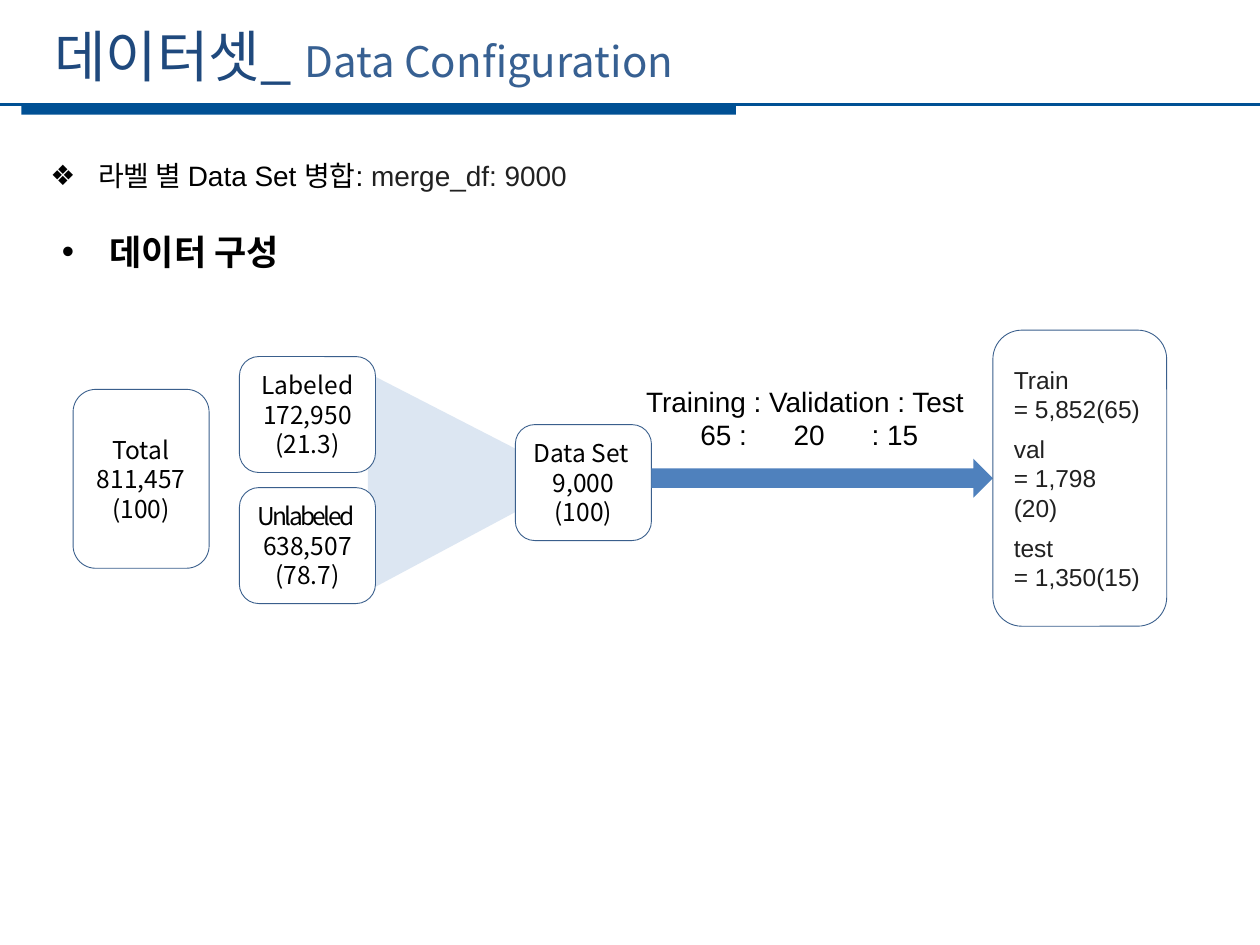
from lxml.etree import SubElement
from pptx import Presentation
from pptx.dml.color import RGBColor
from pptx.enum.shapes import MSO_CONNECTOR, MSO_SHAPE
from pptx.enum.text import MSO_ANCHOR, MSO_AUTO_SIZE, PP_ALIGN
from pptx.oxml.ns import qn
from pptx.util import Inches, Pt

COLORS = {
    "navy": "1F497D", "title blue": "376092", "bar": "005094",
    "funnel": "DCE6F2", "arrow": "4F81BD", "outline": "3A5F8C",
    "white": "FFFFFF", "black": "000000", "gray": "212121",
}
KOREAN = "Noto Sans CJK KR"


def add_span(para, text, size, color, font=KOREAN, bold=False):
    span = para.add_run()
    span.text = text
    span.font.size = Pt(size)
    span.font.bold = bold
    span.font.name = font
    span.font.color.rgb = RGBColor.from_string(COLORS[color])
    SubElement(span.font._element, qn("a:ea"), typeface=KOREAN)
    return span


def add_block(kind, left, top, width, height, fill, outline=None):
    block = slide.shapes.add_shape(
        kind, Inches(left), Inches(top), Inches(width), Inches(height))
    block.shadow.inherit = False
    block.fill.solid()
    block.fill.fore_color.rgb = RGBColor.from_string(COLORS[fill])
    if outline:
        block.line.color.rgb = RGBColor.from_string(COLORS[outline])
        block.line.width = Pt(0.5)
    else:
        block.line.fill.background()
    return block


deck = Presentation()
deck.slide_width, deck.slide_height = Inches(10), Inches(7.5)
slide = deck.slides.add_slide(deck.slide_layouts.get_by_name("Two Content"))
title, merge_item, heading_item = slide.placeholders

# Title and bulleted lines
for box, left, top, width, height in [
    (title, 0.33, 0.12, 8.96, 0.64),
    (merge_item, 0.3, 1.21, 5.94, 0.37),
    (heading_item, 0.39, 1.79, 6.24, 0.42),
]:
    box.left, box.top = Inches(left), Inches(top)
    box.width, box.height = Inches(width), Inches(height)
    box.text_frame.auto_size = MSO_AUTO_SIZE.NONE
    box.text_frame.vertical_anchor = MSO_ANCHOR.TOP
    para = box.text_frame.paragraphs[0]
    para.alignment = PP_ALIGN.LEFT
    para.space_before = Pt(0)

title_para = title.text_frame.paragraphs[0]
add_span(title_para, "데이터셋_ ", 32, "navy")
add_span(title_para, "Data Configuration", 24, "title blue")

merge_para = merge_item.text_frame.paragraphs[0]
add_span(merge_para, "라벨 별 Data Set 병합: ", 16, "black", "Arial")
add_span(merge_para, "merge_df: 9000", 16, "gray", "Arial")

heading_para = heading_item.text_frame.paragraphs[0]
heading_para.line_spacing = Pt(23)
add_span(heading_para, "데이터 구성", 20, "black", "Arial", bold=True)

for para, bullet in [(merge_para, "❖"), (heading_para, "•")]:
    properties = para._p.get_or_add_pPr()
    properties.set("marL", str(Inches(0.38)))
    properties.set("indent", str(Inches(-0.38)))
    SubElement(properties, qn("a:buChar"), char=bullet)

# Rule below the title
add_block(MSO_SHAPE.RECTANGLE, 0.17, 0.83, 5.67, 0.08, "bar")
rule = slide.shapes.add_connector(
    MSO_CONNECTOR.STRAIGHT, Inches(0), Inches(0.83), Inches(10), Inches(0.83))
rule.line.color.rgb = RGBColor.from_string(COLORS["bar"])
rule.line.width = Pt(1.25)
SubElement(rule._element.spPr, qn("a:effectLst"))

# Funnel from the labelled and unlabelled data to the data set
funnel = add_block(MSO_SHAPE.ISOSCELES_TRIANGLE, 2.88, 3, 1.73, 1.65, "funnel")
funnel.rotation = 90
funnel.adjustments[0] = 0.49

# Count boxes
for left, top, height, lines, first_align, spacing in [
    (0.58, 3.09, 1.42, ("Total", "811,457", "(100)"), PP_ALIGN.CENTER, 0),
    (1.9, 2.83, 0.92, ("Labeled", "172,950", "(21.3)"), PP_ALIGN.CENTER, 0),
    (1.9, 3.87, 0.92, ("Unlabeled", "638,507", "(78.7)"), PP_ALIGN.JUSTIFY, -150),
    (4.09, 3.37, 0.92, ("Data Set", "9,000", "(100)"), PP_ALIGN.JUSTIFY, 0),
]:
    box = add_block(MSO_SHAPE.ROUNDED_RECTANGLE, left, top, 1.08, height,
                    "white", "outline")
    frame = box.text_frame
    frame.vertical_anchor = MSO_ANCHOR.MIDDLE
    for index, line in enumerate(lines):
        para = frame.add_paragraph() if index else frame.paragraphs[0]
        para.alignment = PP_ALIGN.CENTER if index else first_align
        span = add_span(para, line, 14, "black")
        if spacing and index == 0:
            span.font._element.set("spc", str(spacing))

# Split ratio above the arrow
ratio_box = slide.shapes.add_textbox(
    Inches(5.03), Inches(3), Inches(2.81), Inches(0.64))
ratio_frame = ratio_box.text_frame
ratio_frame.word_wrap = False
add_span(ratio_frame.paragraphs[0], "Training : Validation : Test", 16,
         "black", "Arial")
ratio_para = ratio_frame.add_paragraph()
add_span(ratio_para, "\t65 :\t20\t: 15", 16, "black", "Arial")
tab_list = SubElement(ratio_para._p.get_or_add_pPr(), qn("a:tabLst"))
for position in (0.43, 1.17, 1.79):
    SubElement(tab_list, qn("a:tab"), pos=str(Inches(position)), algn="l")

add_block(MSO_SHAPE.RIGHT_ARROW, 5.17, 3.64, 2.71, 0.31, "arrow")

# Resulting split
split_box = add_block(MSO_SHAPE.ROUNDED_RECTANGLE, 7.88, 2.62, 1.38, 2.35,
                      "white", "outline")
split_frame = split_box.text_frame
split_frame.vertical_anchor = MSO_ANCHOR.MIDDLE
for index, line in enumerate(
        ("Train", "= 5,852(65)", "val", "= 1,798 (20)", "test", "= 1,350(15)")):
    para = split_frame.add_paragraph() if index else split_frame.paragraphs[0]
    para.alignment = PP_ALIGN.LEFT
    if index in (2, 4):
        para.space_before = Pt(6)
    add_span(para, line, 14, "gray", "Arial")

deck.save("out.pptx")
